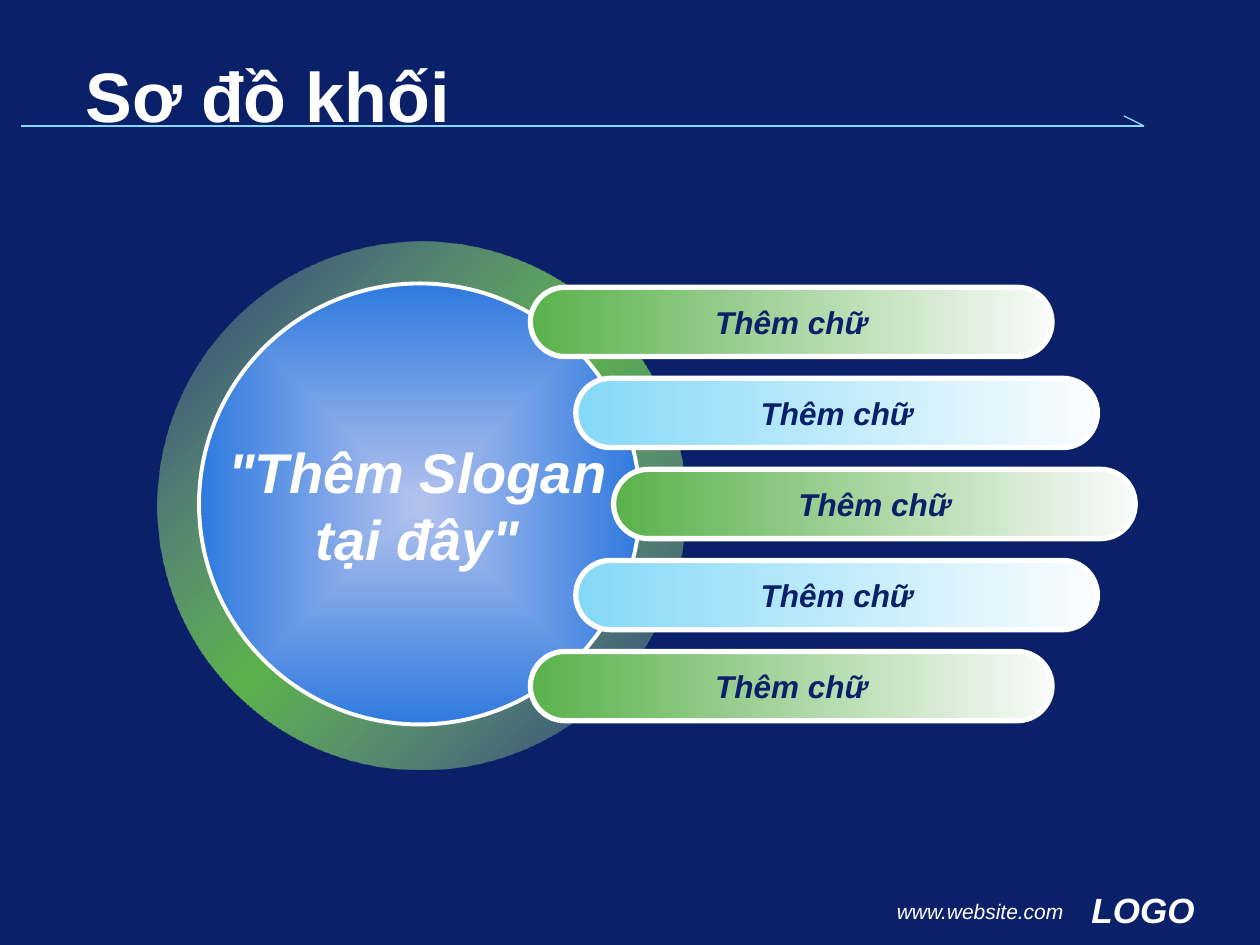
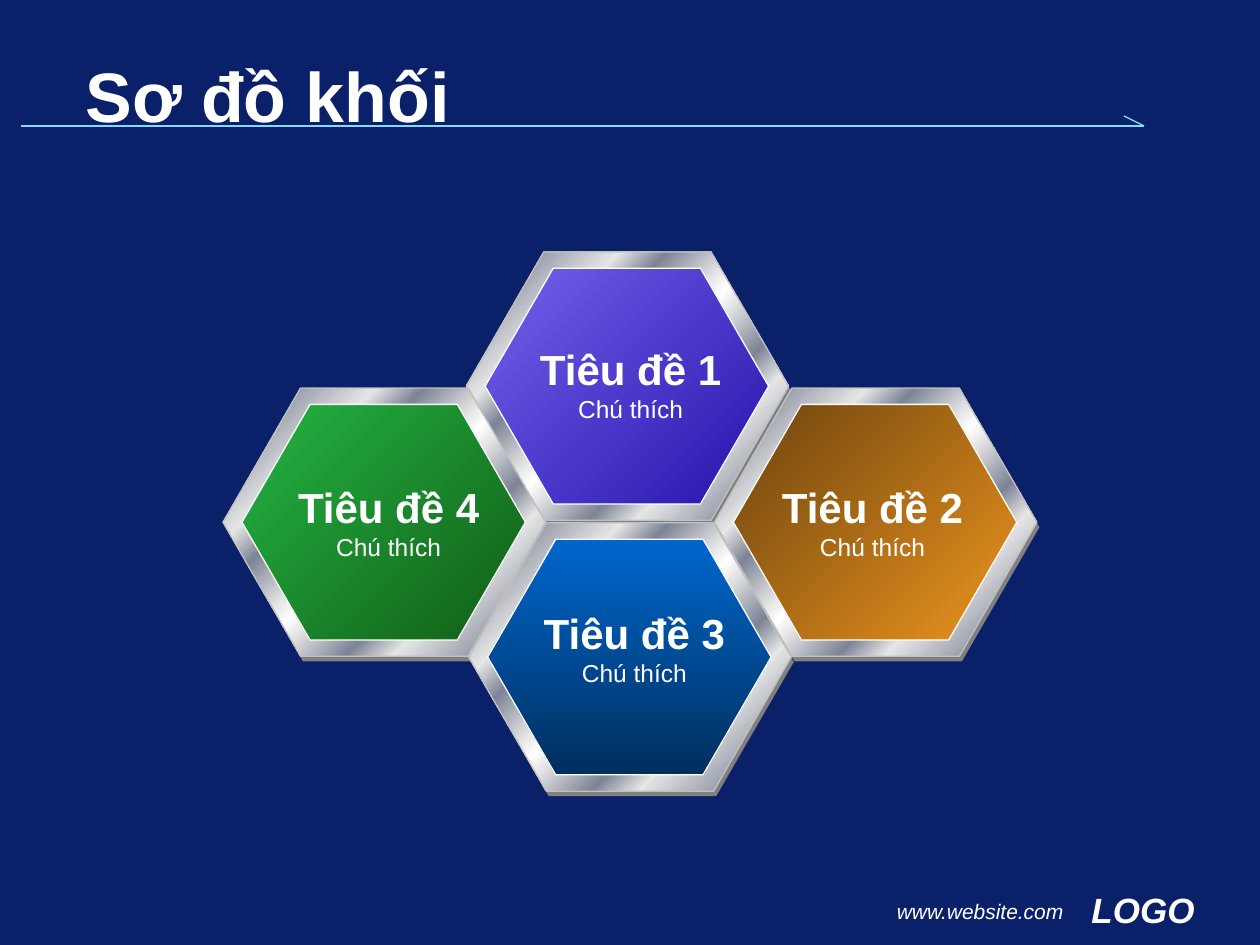
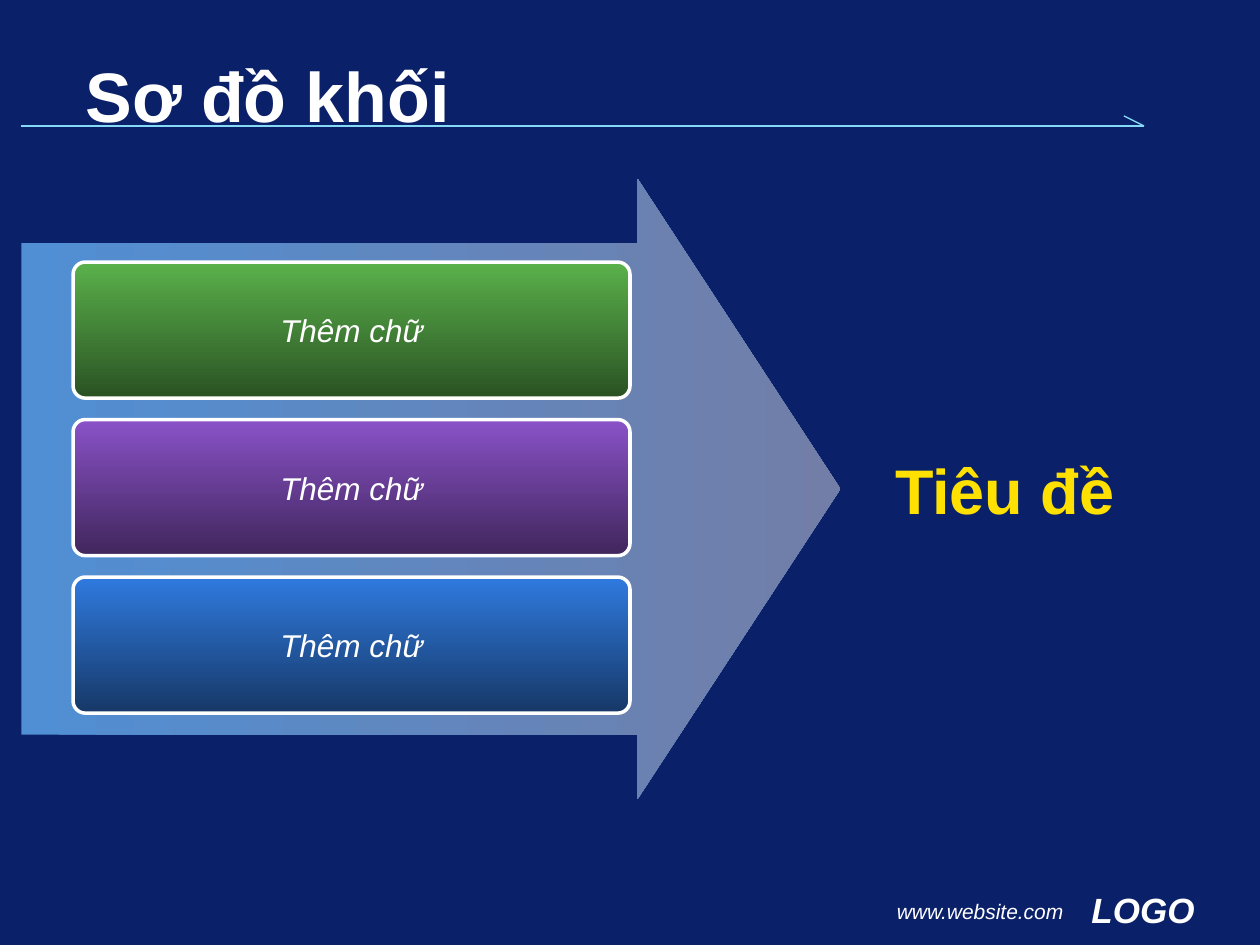
"""Build three block-diagram slides on a navy background."""
from lxml import etree
from pptx import Presentation
from pptx.dml.color import RGBColor
from pptx.enum.shapes import MSO_CONNECTOR, MSO_SHAPE
from pptx.enum.text import MSO_ANCHOR, PP_ALIGN
from pptx.oxml import parse_xml
from pptx.oxml.ns import nsdecls, qn
from pptx.util import Inches, Pt

STRAIGHT = MSO_CONNECTOR.STRAIGHT
DONUT, OVAL, HEXAGON = MSO_SHAPE.DONUT, MSO_SHAPE.OVAL, MSO_SHAPE.HEXAGON
ROUNDED, ARROW = MSO_SHAPE.ROUNDED_RECTANGLE, MSO_SHAPE.RIGHT_ARROW
TOP, MIDDLE = MSO_ANCHOR.TOP, MSO_ANCHOR.MIDDLE
LEFT, CENTER, RIGHT = PP_ALIGN.LEFT, PP_ALIGN.CENTER, PP_ALIGN.RIGHT

FONT = "Arial"
NAVY = RGBColor(0x0A, 0x20, 0x68)
WHITE = RGBColor(0xFF, 0xFF, 0xFF)
SKY = RGBColor(0x85, 0xD9, 0xF7)
PALE_SKY = RGBColor(0xFA, 0xFD, 0xFF)
GREEN = RGBColor(0x5A, 0xB1, 0x4B)
PALE_GREEN = RGBColor(0xF9, 0xFB, 0xF9)
MIST_GREEN = RGBColor(0xB4, 0xD4, 0xB0)
DARK_GREEN = RGBColor(0x2A, 0x52, 0x23)
BLUE = RGBColor(0x2F, 0x7A, 0xDF)
PALE_BLUE = RGBColor(0xB4, 0xC3, 0xEE)
DARK_BLUE = RGBColor(0x16, 0x38, 0x67)
PURPLE = RGBColor(0x8A, 0x52, 0xC8)
DARK_PURPLE = RGBColor(0x40, 0x26, 0x5C)
ARROW_BLUE = RGBColor(0x50, 0x8F, 0xD4)
ARROW_GRAY = RGBColor(0x72, 0x7E, 0xA8)
YELLOW = RGBColor(0xFF, 0xE1, 0x01)
GRAY = RGBColor(0x80, 0x80, 0x80)
SILVER = RGBColor(0xC0, 0xC0, 0xC0)
LIGHT_STEEL = RGBColor(0xE6, 0xE6, 0xE6)
DARK_STEEL = RGBColor(0x7D, 0x84, 0x96)
VIOLET = RGBColor(0x72, 0x62, 0xEC)
DARK_VIOLET = RGBColor(0x26, 0x14, 0xAA)
EMERALD = RGBColor(0x24, 0xB4, 0x43)
DARK_EMERALD = RGBColor(0x11, 0x5D, 0x16)
BROWN = RGBColor(0x6D, 0x44, 0x0E)
ORANGE = RGBColor(0xEC, 0x94, 0x1E)
OCEAN = RGBColor(0x00, 0x66, 0xCC)
DARK_OCEAN = RGBColor(0x00, 0x2F, 0x5E)

METAL = [(0, LIGHT_STEEL), (8, DARK_STEEL), (26, LIGHT_STEEL), (34, DARK_STEEL),
         (46, LIGHT_STEEL), (50, WHITE), (54, LIGHT_STEEL), (66, DARK_STEEL),
         (74, LIGHT_STEEL), (92, DARK_STEEL), (100, LIGHT_STEEL)]


def blend(start, end):
    """Return the stops of a two-colour gradient."""
    return [(0, start), (100, end)]


class DiagramDeck:
    """Hold the presentation style and the slide being drawn."""

    def __init__(self):
        """Create the presentation with its shared background."""
        self.presentation = Presentation()
        self.presentation.slide_width = Inches(10)
        self.presentation.slide_height = Inches(7.5)
        background = self.presentation.slide_master.background.fill
        background.solid()
        background.fore_color.rgb = NAVY
        self.slide = None

    def new_slide(self, title):
        """Add a slide with the title, the thin arrow and the footer."""
        self.slide = self.presentation.slides.add_slide(self.presentation.slide_layouts[6])
        self.line(0.17, 1, 9.08, 1)
        self.line(8.92, 0.92, 9.08, 1)
        self.text(8.07, 7, 1.51, 0.43, ["LOGO"], [20], align=RIGHT, bold=True, italic=True)
        self.text(6.04, 7.08, 2.5, 0.27, ["www.website.com"], [12], align=RIGHT, italic=True)
        self.text(0.58, 0.5, 8, 0.5, [title], [40], align=LEFT, anchor=MIDDLE, bold=True)

    def line(self, x1, y1, x2, y2):
        """Draw a thin sky-blue line."""
        connector = self.slide.shapes.add_connector(
            STRAIGHT, Inches(x1), Inches(y1), Inches(x2), Inches(y2))
        connector.line.color.rgb = SKY
        connector.line.width = Pt(0.75)
        properties = connector._element.spPr
        etree.SubElement(properties, qn("a:effectLst"))

    def set_text(self, shape, lines, sizes, color=WHITE, align=CENTER, anchor=TOP,
                 bold=False, italic=False, wrap=True):
        """Set one paragraph per line; only the first may be bold."""
        frame = shape.text_frame
        frame.text = "\n".join(lines)
        frame.word_wrap = wrap
        frame.vertical_anchor = anchor
        for index, (paragraph, size) in enumerate(zip(frame.paragraphs, sizes)):
            paragraph.alignment = align
            for run in paragraph.runs:
                run.font.name = FONT
                run.font.size = Pt(size)
                run.font.bold = bold and index == 0
                run.font.italic = italic
                run.font.color.rgb = color

    def text(self, left, top, width, height, lines, sizes, **style):
        """Add a text box."""
        box = self.slide.shapes.add_textbox(
            Inches(left), Inches(top), Inches(width), Inches(height))
        self.set_text(box, lines, sizes, **style)
        return box

    def shape(self, kind, left, top, width, height, adjustments=(), fill=None,
              line=None, line_width=0.75):
        """Add a preset shape with an optional plain fill and outline."""
        shape = self.slide.shapes.add_shape(
            kind, Inches(left), Inches(top), Inches(width), Inches(height))
        shape.shadow.inherit = False
        for index, value in enumerate(adjustments):
            shape.adjustments[index] = value
        if fill is None:
            shape.fill.background()
        else:
            shape.fill.solid()
            shape.fill.fore_color.rgb = fill
        if line is None:
            shape.line.fill.background()
        else:
            shape.line.color.rgb = line
            shape.line.width = Pt(line_width)
        return shape

    def gradient(self, shape, stops, angle=None):
        """Fill a shape with (percent, colour[, opacity]) stops, from the centre without an angle."""
        marks = ""
        for percent, color, *opacity in stops:
            alpha = "".join(f'<a:alpha val="{value * 1000}"/>' for value in opacity)
            marks += (f'<a:gs pos="{percent * 1000}">'
                      f'<a:srgbClr val="{color}">{alpha}</a:srgbClr></a:gs>')
        if angle is None:
            course = ('<a:path path="shape"><a:fillToRect l="50000" t="50000" '
                      'r="50000" b="50000"/></a:path>')
        else:
            course = f'<a:lin ang="{angle * 60000}" scaled="1"/>'
        shape.fill.gradient()
        properties = shape._element.spPr
        properties.replace(properties.find(qn("a:gradFill")), parse_xml(
            f'<a:gradFill {nsdecls("a")} rotWithShape="1">'
            f'<a:gsLst>{marks}</a:gsLst>{course}</a:gradFill>'))

    def text_shadow(self, box):
        """Give the text of a box a hard black shadow."""
        for paragraph in box.text_frame.paragraphs:
            for run in paragraph.runs:
                fill = run.font._element.find(qn("a:solidFill"))
                fill.addnext(parse_xml(
                    f'<a:effectLst {nsdecls("a")}><a:outerShdw dist="35921" dir="2700000">'
                    '<a:srgbClr val="000000"/></a:outerShdw></a:effectLst>'))

    def label_bar(self, left, top, width, height, corner, stops, angle, line_width, **style):
        """Add a rounded bar with a gradient and a label."""
        bar = self.shape(ROUNDED, left, top, width, height, [corner],
                         line=WHITE, line_width=line_width)
        self.gradient(bar, stops, angle)
        self.set_text(bar, ["Thêm chữ"], [18], anchor=MIDDLE, italic=True, wrap=False, **style)

    def hexagon_tile(self, left, top, stops, angle, number, text_left, text_top):
        """Add a metal-framed hexagon with a heading and a note."""
        self.shape(HEXAGON, left + 0.02, top + 0.04, 2.56, 2.13, [0.289], fill=GRAY)
        frame = self.shape(HEXAGON, left, top, 2.56, 2.13, [0.289], line=SILVER)
        self.gradient(frame, METAL, 45)
        face = self.shape(HEXAGON, left + 0.15, top + 0.13, 2.25, 1.87, [0.289], line=WHITE)
        self.gradient(face, stops, angle)
        self.text(text_left, text_top, 1.65, 0.74, [f"Tiêu đề {number}", "Chú thích"],
                  [24, 14], bold=True, wrap=False)


def build_slogan_slide(deck):
    """Draw the slogan circle with five bars."""
    deck.new_slide("Sơ đồ khối")
    ring = deck.shape(DONUT, 1.25, 1.92, 4.19, 4.19, [0.088])
    deck.gradient(ring, [(0, MIST_GREEN, 12), (50, GREEN), (100, MIST_GREEN, 12)], 45)
    disc = deck.shape(OVAL, 1.58, 2.25, 3.5, 3.5, line=WHITE, line_width=2.25)
    deck.gradient(disc, blend(PALE_BLUE, BLUE))
    for index, left in enumerate([4.21, 4.57, 4.87, 4.57, 4.21]):
        stops = blend(SKY, PALE_SKY) if index % 2 else blend(GREEN, PALE_GREEN)
        deck.label_bar(left, 2.28 + index * 2.89 / 4, 4.14, 0.55, 0.5, stops, 0, 3,
                       color=NAVY, bold=True)
    slogan = deck.text(1.68, 3.42, 3.27, 1.18, ['"Thêm Slogan tại đây"'], [32],
                       bold=True, italic=True)
    deck.text_shadow(slogan)


def build_hexagon_slide(deck):
    """Draw the four hexagon tiles."""
    deck.new_slide("Sơ đồ khối")
    tiles = [
        (3.7, 2, blend(VIOLET, DARK_VIOLET), 45, 1, 4.18, 2.68),
        (1.77, 3.08, blend(EMERALD, DARK_EMERALD), 45, 4, 2.26, 3.77),
        (5.67, 3.08, blend(BROWN, ORANGE), 45, 2, 6.1, 3.77),
        (3.72, 4.15, blend(OCEAN, DARK_OCEAN), 90, 3, 4.21, 4.77),
    ]
    for tile in tiles:
        deck.hexagon_tile(*tile)


def build_arrow_slide(deck):
    """Draw the big arrow with three bars and its result."""
    deck.new_slide("Sơ đồ khối")
    arrow = deck.shape(ARROW, 0.17, 1.42, 6.5, 4.92, [0.793, 0.327])
    deck.gradient(arrow, blend(ARROW_BLUE, ARROW_GRAY), 0)
    bars = [(GREEN, DARK_GREEN), (PURPLE, DARK_PURPLE), (BLUE, DARK_BLUE)]
    for index, colors in enumerate(bars):
        deck.label_bar(0.58, 2.08 + index * 1.25, 4.42, 1.08, 0.09, blend(*colors), 90, 2)
    result = deck.shape(ROUNDED, 6.67, 3.17, 2.75, 1.42, [0.09])
    deck.set_text(result, ["Tiêu đề "], [36], color=YELLOW, anchor=MIDDLE, bold=True)


def main():
    """Build and save the slides."""
    deck = DiagramDeck()
    build_slogan_slide(deck)
    build_hexagon_slide(deck)
    build_arrow_slide(deck)
    deck.presentation.save("out.pptx")


if __name__ == "__main__":
    main()
